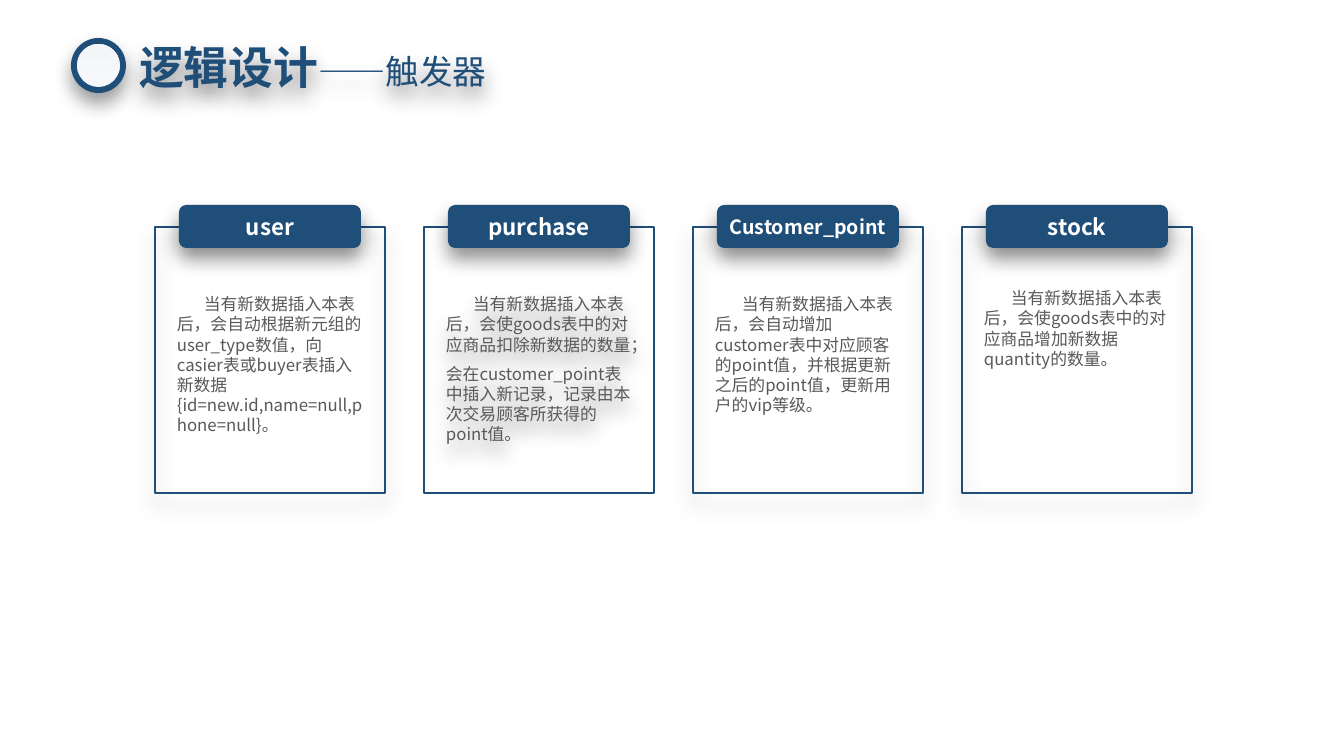
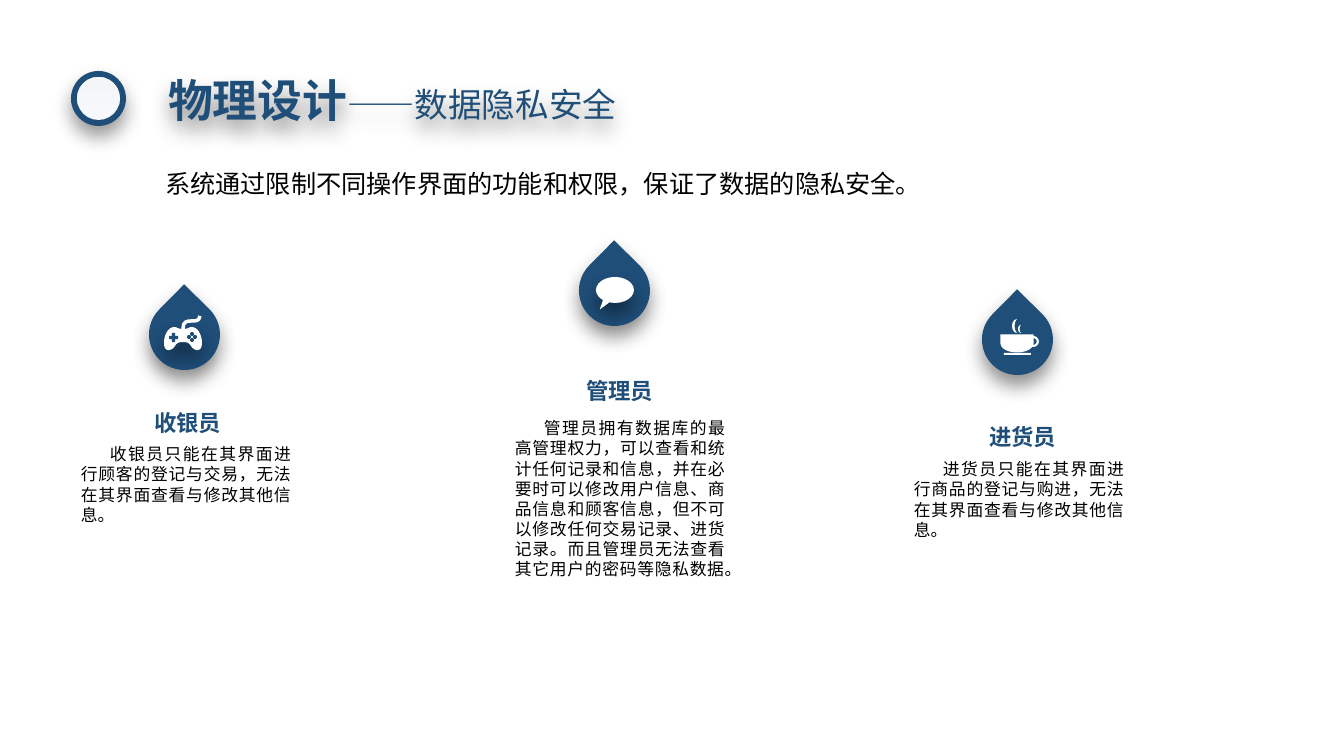
from dataclasses import dataclass

from lxml.etree import SubElement
from pptx import Presentation
from pptx.dml.color import RGBColor as Rgb
from pptx.enum.shapes import MSO_SHAPE as Kind
from pptx.enum.text import MSO_ANCHOR as Anchor, MSO_AUTO_SIZE as Fit, PP_ALIGN as Align
from pptx.oxml.ns import qn
from pptx.util import Pt

WIDE, HIGH = 1344, 756
UNIT = 12192000 / WIDE


@dataclass(frozen=True)
class Theme:
    font: str = "Noto Sans CJK SC"
    navy: str = "1F4E79"
    white: str = "FFFFFF"
    black: str = "000000"
    gray: str = "595959"
    pale: tuple = ("F6F8FC", "F4F5F7")
    title: int = 32
    sub: int = 24
    lead: int = 18
    head: int = 16
    small: int = 14
    body: int = 12
    # Line heights in points, by type size
    lines = {32: 41, 18: 23, 16: 21, 12: 14.4}


T = Theme()

TRIGGERS = {
    "title": ("逻辑设计", "——触发器"),
    "at": (129, 38),
    "cards": [
        {"name": "user", "text": [
            "当有新数据插入本表后，会自动根据新元组的user_type数值，向casier表或buyer表插入新数据"
            "{id=new.id,name=null,phone=null}。"]},
        {"name": "purchase", "glow": True, "text": [
            "当有新数据插入本表后，会使goods表中的对应商品扣除新数据的数量；",
            "会在customer_point表中插入新记录，记录由本次交易顾客所获得的point值。"]},
        {"name": "Customer_point", "size": T.small, "text": [
            "当有新数据插入本表后，会自动增加customer表中对应顾客的point值，"
            "并根据更新之后的point值，更新用户的vip等级。"]},
        {"name": "stock", "top": 283, "text": [
            "当有新数据插入本表后，会使goods表中的对应商品增加新数据quantity的数量。"]},
    ],
}

PRIVACY = {
    "title": ("物理设计", "——数据隐私安全"),
    "at": (158, 71),
    "lead": "系统通过限制不同操作界面的功能和权限，保证了数据的隐私安全。",
    "roles": [
        {"name": "管理员", "icon": "chat", "drop": (579, 255), "label": (574, 370),
         "body": (505, 413),
         "text": "管理员拥有数据库的最高管理权力，可以查看和统计任何记录和信息，并在必要时可以修改"
                 "用户信息、商品信息和顾客信息，但不可以修改任何交易记录、进货记录。"
                 "而且管理员无法查看其它用户的密码等隐私数据。"},
        {"name": "进货员", "icon": "cup", "drop": (982, 304), "label": (977, 416),
         "body": (904, 454),
         "text": "进货员只能在其界面进行商品的登记与购进，无法在其界面查看与修改其他信息。"},
        {"name": "收银员", "icon": "pad", "drop": (149, 299), "label": (142, 402),
         "body": (71, 439),
         "text": "收银员只能在其界面进行顾客的登记与交易，无法在其界面查看与修改其他信息。"},
    ],
}

# Left half of the game pad and its cable, as cubic curves
PAD = [(19, 15), (14, 15), (13, 13), (10, 13), (5, 13), (0, 20), (0, 29),
       (0, 39), (8, 37), (11, 32), (13, 28), (17, 28), (19, 28)]
CABLE = [(19, 15), (19, 0), (35, 13), (36, 2)]


def px(n):
    return round(n * UNIT)


def place(shape, box):
    shape.left, shape.top, shape.width, shape.height = map(px, box)


def shade(shape, on=True, alpha=43):
    shape.shadow.inherit = False
    if on:
        effect = shape._element.spPr.find(qn("a:effectLst"))
        outer = SubElement(effect, qn("a:outerShdw"), blurRad=str(Pt(14)), dist=str(Pt(8)),
                           dir="5400000", algn="t", rotWithShape="0")
        tint = SubElement(outer, qn("a:srgbClr"), val=T.black)
        SubElement(tint, qn("a:alpha"), val=str(alpha * 1000))


def paint(shape, color):
    shape.fill.solid()
    shape.fill.fore_color.rgb = Rgb.from_string(color)
    shape.line.fill.background()


def add(shapes, kind, box, color, on=True, alpha=43):
    shape = shapes.add_shape(kind, *map(px, box))
    paint(shape, color)
    shade(shape, on, alpha)
    return shape


def write(para, text, size, color, bold=False):
    run = para.add_run()
    run.text = text
    font = run.font
    font.size, font.bold, font.name = Pt(size), bold, T.font
    font.color.rgb = Rgb.from_string(color)
    SubElement(run._r.get_or_add_rPr(), qn("a:ea"), typeface=T.font)


def setup(shape, wrap=True):
    frame = shape.text_frame
    frame.word_wrap, frame.auto_size = wrap, Fit.NONE
    frame.vertical_anchor = Anchor.TOP
    return frame


def style(para, size, align=Align.LEFT, indent=0, before=0):
    """Set the paragraph's bullet, indent, alignment and spacing."""
    props = para._p.get_or_add_pPr()
    props.set("marL", "0")
    props.set("indent", str(px(indent)))
    SubElement(props, qn("a:buNone"))
    para.alignment = align
    para.space_before = Pt(before)
    para.line_spacing = Pt(T.lines[size])


def note(slide, box, text, size, color, align, indent=0, bold=False, wrap=True):
    shape = slide.shapes.add_textbox(*map(px, box))
    para = setup(shape, wrap).paragraphs[0]
    style(para, size, align, indent)
    write(para, text, size, color, bold)
    return shape


def start(deck, layout, data):
    """Add a slide with the ring and two-part title."""
    slide = deck.slides.add_slide(deck.slide_layouts[layout])
    left, top = data["at"]
    group = slide.shapes.add_group_shape().shapes
    add(group, Kind.OVAL, (71, top, 55, 55), T.navy, alpha=40)
    disc = add(group, Kind.OVAL, (77, top + 6, 43, 43), T.white, on=False)
    disc.fill.gradient()
    disc.fill.gradient_angle = 90
    for stop, color in zip(disc.fill.gradient_stops, T.pale):
        stop.color.rgb = Rgb.from_string(color)
    title = slide.shapes.title
    place(title, (left, top - 7, 486, 65))
    title.fill.background()
    shade(title)
    para = setup(title).paragraphs[0]
    style(para, T.title)
    main, sub = data["title"]
    write(para, main, T.title, T.navy, True)
    write(para, sub, T.sub, T.navy)
    return slide


def card(slide, left, data):
    glow = data.get("glow", False)
    frame = slide.shapes.add_shape(Kind.RECTANGLE, *map(px, (left, 227, 230, 266)))
    frame.fill.background()
    frame.line.color.rgb = Rgb.from_string(T.navy)
    frame.line.width = Pt(1)
    shade(frame, not glow)
    tab = add(slide.shapes, Kind.ROUNDED_RECTANGLE, (left + 24, 205, 182, 43), T.navy)
    tab.text_frame.vertical_anchor = Anchor.MIDDLE
    tab.text_frame.word_wrap = False
    head = tab.text_frame.paragraphs[0]
    head.alignment = Align.CENTER
    write(head, data["name"], data.get("size", T.head), T.white, True)
    first, *rest = data["text"]
    box = (left + 12, data.get("top", 289), 206, 181)
    body = note(slide, box, first, T.body, T.gray, Align.LEFT, 27)
    for text in rest:
        para = body.text_frame.add_paragraph()
        style(para, T.body, before=6.3)
        write(para, text, T.body, T.gray)
    shade(body, glow)


def bend(dots):
    """Sample a chain of cubic curves."""
    out = [dots[0]]
    for i in range(0, len(dots) - 1, 3):
        for t in (n / 8 for n in range(1, 9)):
            mix = ((1 - t) ** 3, 3 * t * (1 - t) ** 2, 3 * t * t * (1 - t), t ** 3)
            out.append(tuple(sum(m * dot[axis] for m, dot in zip(mix, dots[i:i + 4]))
                             for axis in (0, 1)))
    return out


def trace(shapes, dots, left, top, close):
    first, *rest = [(px(x), px(y)) for x, y in dots]
    pen = shapes.build_freeform(*first, scale=1.0)
    pen.add_line_segments(rest, close=close)
    return pen.convert_to_shape(px(left), px(top))


def chat(shapes, left, top):
    bubble = add(shapes, Kind.OVAL_CALLOUT, (left + 17, top + 22, 38, 26), T.white)
    bubble.adjustments[0], bubble.adjustments[1] = -0.4, 0.75


def cup(shapes, left, top):
    left, top = left + 18, top + 15
    bowl = add(shapes, Kind.FLOWCHART_DELAY, (left + 8, top + 8, 18, 33), T.white, on=False)
    bowl.rotation = 90
    grip = add(shapes, Kind.DONUT, (left + 28, top + 17, 11, 11), T.white, on=False)
    grip.adjustments[0] = 0.2
    add(shapes, Kind.ROUNDED_RECTANGLE, (left + 4, top + 34, 27, 2), T.white, on=False)
    for x, y, wide, high in ((12, 0, 5, 14), (18, 6, 3, 8)):
        add(shapes, Kind.MOON, (left + x, top + y, wide, high), T.white, on=False)


def pad(shapes, left, top):
    left, top = left + 15, top + 15
    half = bend(PAD)
    whole = half + [(38 - x, y) for x, y in reversed(half)]
    shell = trace(shapes, whole, left, top, True)
    paint(shell, T.white)
    shade(shell)
    cable = trace(shapes, bend(CABLE), left, top, False)
    cable.fill.background()
    cable.line.color.rgb = Rgb.from_string(T.white)
    cable.line.width = Pt(2.5)
    shade(cable, False)
    cross = add(shapes, Kind.CROSS, (left + 5, top + 19, 9, 9), T.navy, on=False)
    cross.adjustments[0] = 0.33
    for dx, dy in ((0, -3), (-3, 0), (3, 0), (0, 3)):
        add(shapes, Kind.OVAL, (left + 26 + dx, top + 21 + dy, 4, 4), T.navy, on=False)


ICONS = {"chat": chat, "cup": cup, "pad": pad}


def role(slide, data):
    left, top = data["drop"]
    group = slide.shapes.add_group_shape().shapes
    drop = add(group, Kind.TEAR, (left, top, 71, 71), T.navy)
    drop.rotation = 314.6
    ICONS[data["icon"]](group, left, top)
    note(slide, (*data["label"], 89, 37), data["name"], T.head, T.navy,
         Align.RIGHT, bold=True, wrap=False)
    note(slide, (*data["body"], 230, 173), data["text"], T.body, T.black, Align.JUSTIFY, 29)


def main():
    deck = Presentation()
    deck.slide_width, deck.slide_height = px(WIDE), px(HIGH)

    slide = start(deck, 5, TRIGGERS)
    for i, data in enumerate(TRIGGERS["cards"]):
        card(slide, 155 + 269 * i, data)

    slide = start(deck, 1, PRIVACY)
    lead = slide.placeholders[1]
    place(lead, (126, 161, 1118, 41))
    para = setup(lead).paragraphs[0]
    style(para, T.lead, Align.JUSTIFY, 29)
    write(para, PRIVACY["lead"], T.lead, T.black)
    for data in PRIVACY["roles"]:
        role(slide, data)

    deck.save("out.pptx")


if __name__ == "__main__":
    main()
